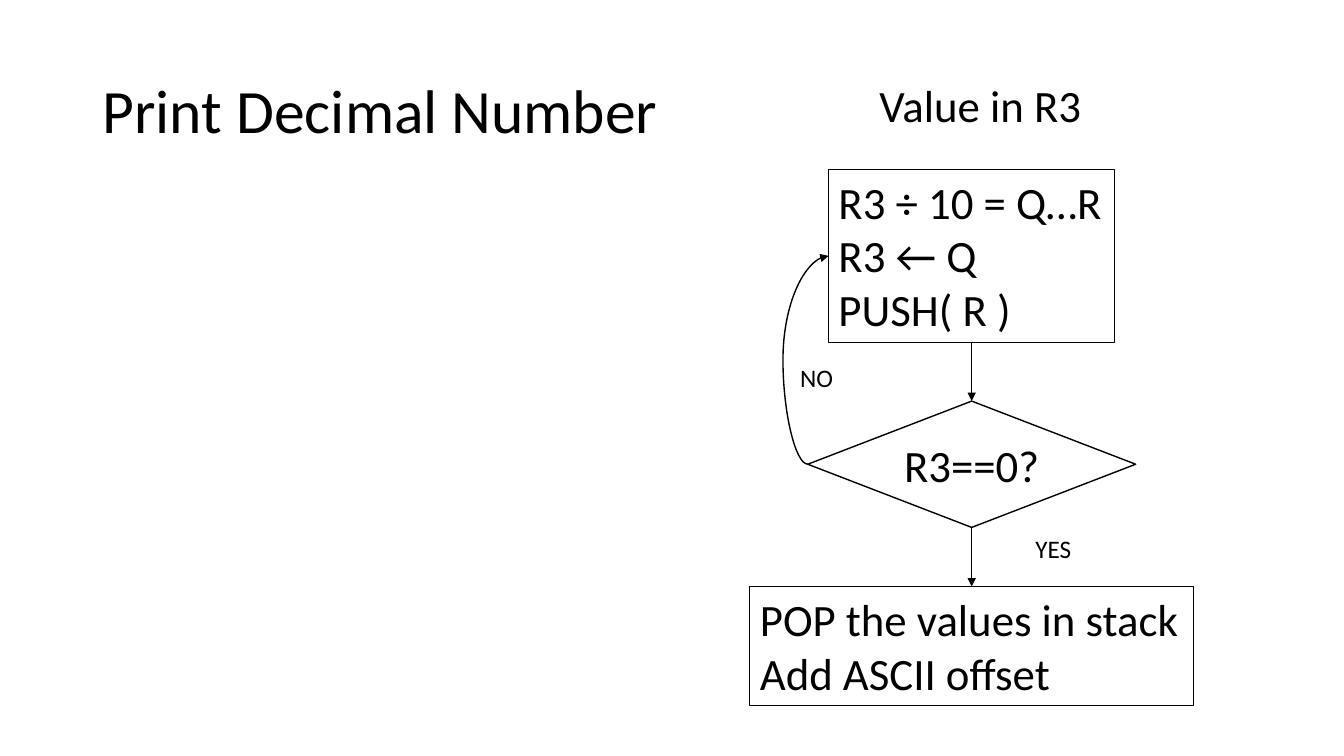
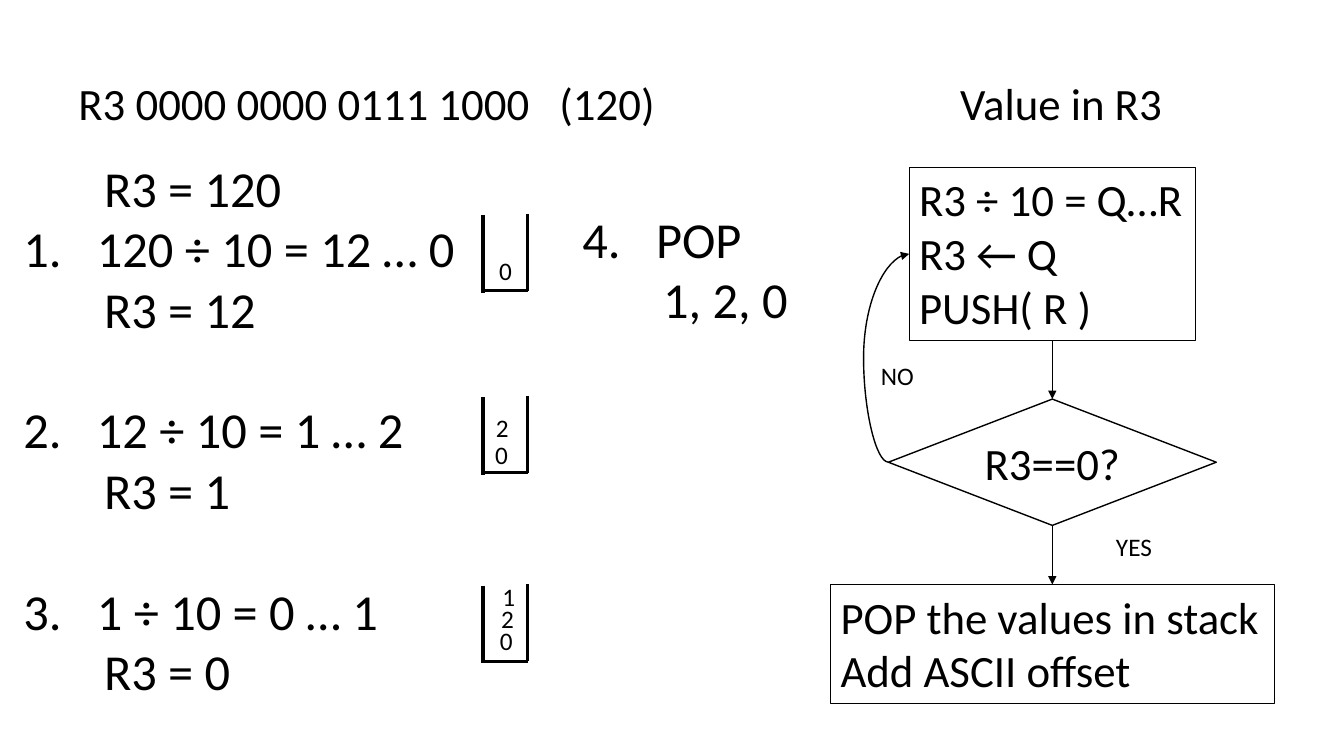
from lxml import etree
from pptx import Presentation
from pptx.dml.color import RGBColor
from pptx.enum.shapes import MSO_CONNECTOR, MSO_SHAPE
from pptx.enum.text import MSO_ANCHOR, MSO_AUTO_SIZE, PP_ALIGN
from pptx.oxml.ns import qn
from pptx.util import Inches, Pt

RECT, DIAMOND = MSO_SHAPE.RECTANGLE, MSO_SHAPE.DIAMOND
LINE, CURVE = MSO_CONNECTOR.STRAIGHT, MSO_CONNECTOR.CURVE
TOP, MIDDLE = MSO_ANCHOR.TOP, MSO_ANCHOR.MIDDLE
LEFT, CENTER = PP_ALIGN.LEFT, PP_ALIGN.CENTER
GROW, FIXED = MSO_AUTO_SIZE.SHAPE_TO_FIT_TEXT, MSO_AUTO_SIZE.NONE

COLORS = {"ink": "000000", "page": "FFFFFF"}
FONT = "Calibri"
WIDTH, HEIGHT = Inches(13.33), Inches(7.5)
COLUMN = WIDTH / 100
SITES = {"top": 0, "left": 1, "bottom": 2}
STEPS = [
    ("R3 = 120", 0),
    ("120 ÷ 10 = 12 … 0", 1),
    ("R3 = 12", 0),
    ("12 ÷ 10 = 1 … 2", 2),
    ("R3 = 1", 0),
    ("1 ÷ 10 = 0 … 1", 3),
    ("R3 = 0", 0),
]
STACKS = [
    (16, [("0", 0.45, 2.6)]),
    (29.55, [("0", 0.15, 2.8), ("2", 0.2, 0.75)]),
    (43.6, [("0", 0.5, 2.55), ("2", 0.6, 0.9), ("1", 0.7, -0.7)]),
]


def grid(*cells):
    return [round(cell * COLUMN) for cell in cells]


def ink(name):
    return RGBColor.from_string(COLORS[name])


def write(shape, text, size=32, align=LEFT, anchor=TOP, wrap=False, fit=GROW, space=None):
    frame = shape.text_frame
    frame.word_wrap, frame.auto_size = wrap, fit
    frame.vertical_anchor = anchor
    for at, line in enumerate(text.split("\n")):
        para = frame.paragraphs[0] if at == 0 else frame.add_paragraph()
        para.alignment, para.line_spacing = align, space
        run = para.add_run()
        run.text = line
        run.font.size, run.font.name = Pt(size), FONT
        run.font.color.rgb = ink("ink")
    return frame


def label(slide, box, text, **style):
    return write(slide.shapes.add_textbox(*grid(*box)), text, **style)


def node(slide, kind, box, text, width=0.75, **style):
    shape = slide.shapes.add_shape(kind, *grid(*box))
    shape.shadow.inherit = False
    shape.fill.background()
    shape.line.color.rgb = ink("ink")
    shape.line.width = Pt(width)
    write(shape, text, **style)
    return shape


def line(shapes, ends=(0, 0, 0, 0), kind=LINE, width=1.0):
    link = shapes.add_connector(kind, *grid(*ends))
    link.line.color.rgb = ink("ink")
    link.line.width = Pt(width)
    etree.SubElement(link._element.spPr, qn("a:effectLst"))
    return link


def arrow(slide, start, end, kind=LINE, bend=None):
    link = line(slide.shapes, kind=kind)
    link.begin_connect(start[0], SITES[start[1]])
    link.end_connect(end[0], SITES[end[1]])
    tail = etree.SubElement(link.line._get_or_add_ln(), qn("a:tailEnd"))
    tail.set("type", "triangle")
    if bend is not None:
        link._element.spPr.prstGeom.rewrite_guides([("adj1", bend)])


def flow(slide, left, top):
    def place(x, y, w, h):
        return left + x, top + y, w, h

    def middle(y, w, h):
        return place(16.5 - w / 2, y, w, h)

    label(slide, place(8.9, 0, 16.65, 4.8), "Value in R3")
    calc = node(slide, RECT, middle(7.2, 21.3, 12.9),
                "R3 ÷ 10 = Q…R\nR3 ← Q\nPUSH( R )")
    test = node(slide, DIAMOND, middle(24.45, 24.4, 9.4), "R3==0?", width=1,
                align=CENTER, anchor=MIDDLE, wrap=True, fit=FIXED)
    pop = node(slide, RECT, middle(38.25, 33, 8.85),
               "POP the values in stack\nAdd ASCII offset")
    arrow(slide, (calc, "bottom"), (test, "top"))
    arrow(slide, (test, "bottom"), (pop, "top"))
    arrow(slide, (test, "left"), (calc, "left"), kind=CURVE, bend=-119200)
    label(slide, place(20.5, 33.9, 4.2, 3), "YES", size=18)
    label(slide, place(3, 21.2, 4, 3), "NO", size=18)


def steps(slide, box, items):
    text = "\n".join(words for words, _ in items)
    frame = label(slide, box, text, size=36, wrap=True, fit=FIXED)
    for para, (_, number) in zip(frame.paragraphs, items):
        props = para._p.get_or_add_pPr()
        if not number:
            props.set("marL", str(Inches(0.8)))
            continue
        props.set("marL", str(Inches(0.73)))
        props.set("indent", str(-Inches(0.73)))
        if number in (2, 3):
            para.space_before = Pt(43)
        mark = etree.SubElement(props, qn("a:buFont"))
        mark.set("typeface", FONT)
        count = etree.SubElement(props, qn("a:buAutoNum"))
        count.set("type", "arabicPeriod")
        count.set("startAt", str(number))


def stack(slide, left, top, digits):
    right, base = left + 3.3, top + 5.63
    group = slide.shapes.add_group_shape()
    for ends in [(left, top, left, base + 0.15),
                 (right, top - 0.1, right, base),
                 (left, base, right, base)]:
        line(group.shapes, ends, width=2.5)
    for digit, x, y in digits:
        label(slide, (left + x, top + y, 2.5, 3), digit, size=18)


def value(slide, box):
    frame = label(slide, box, "R3 0000 0000 0111 1000\t(120)")
    props = frame.paragraphs[0]._p.get_or_add_pPr()
    stops = etree.SubElement(props, qn("a:tabLst"))
    stop = etree.SubElement(stops, qn("a:tab"))
    stop.set("pos", str(Inches(4.77)))
    stop.set("algn", "l")


def page(deck):
    slide = deck.slides.add_slide(deck.slide_layouts[6])
    slide.background.fill.solid()
    slide.background.fill.fore_color.rgb = ink("page")
    return slide


def intro(deck):
    slide = page(deck)
    label(slide, (6.9, 3, 43.1, 10.9), "Print Decimal Number", size=44,
          anchor=MIDDLE, wrap=True, fit=FIXED, space=0.9)
    flow(slide, 55.8, 5.4)


def sample(deck):
    slide = page(deck)
    flow(slide, 61.8, 5.25)
    value(slide, (5.1, 5.25, 44.9, 4.8))
    steps(slide, (1, 11.3, 34, 43), STEPS)
    for top, digits in STACKS:
        stack(slide, 35.95, top, digits)
    steps(slide, (42.6, 15.1, 19, 9.8), [("POP", 4), ("1, 2, 0", 0)])


def main():
    deck = Presentation()
    deck.slide_width, deck.slide_height = WIDTH, HEIGHT
    intro(deck)
    sample(deck)
    deck.save("out.pptx")


if __name__ == "__main__":
    main()
